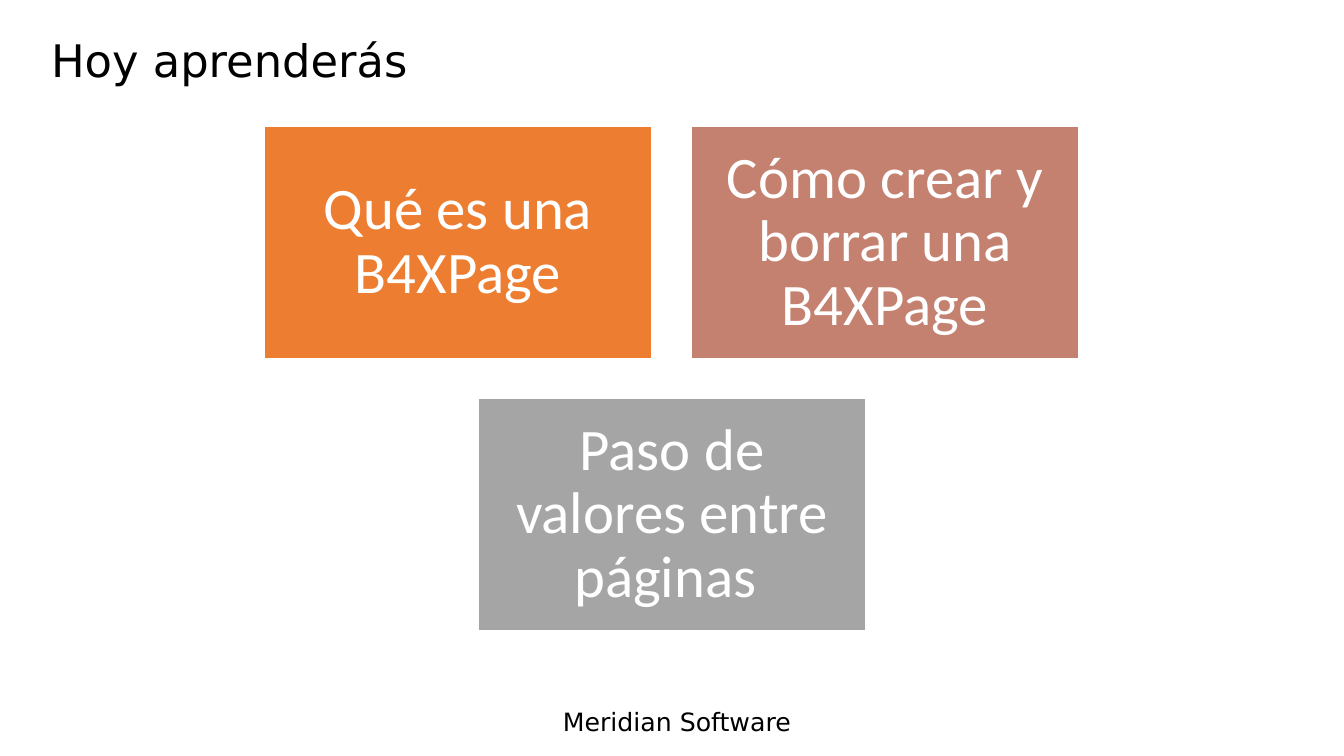
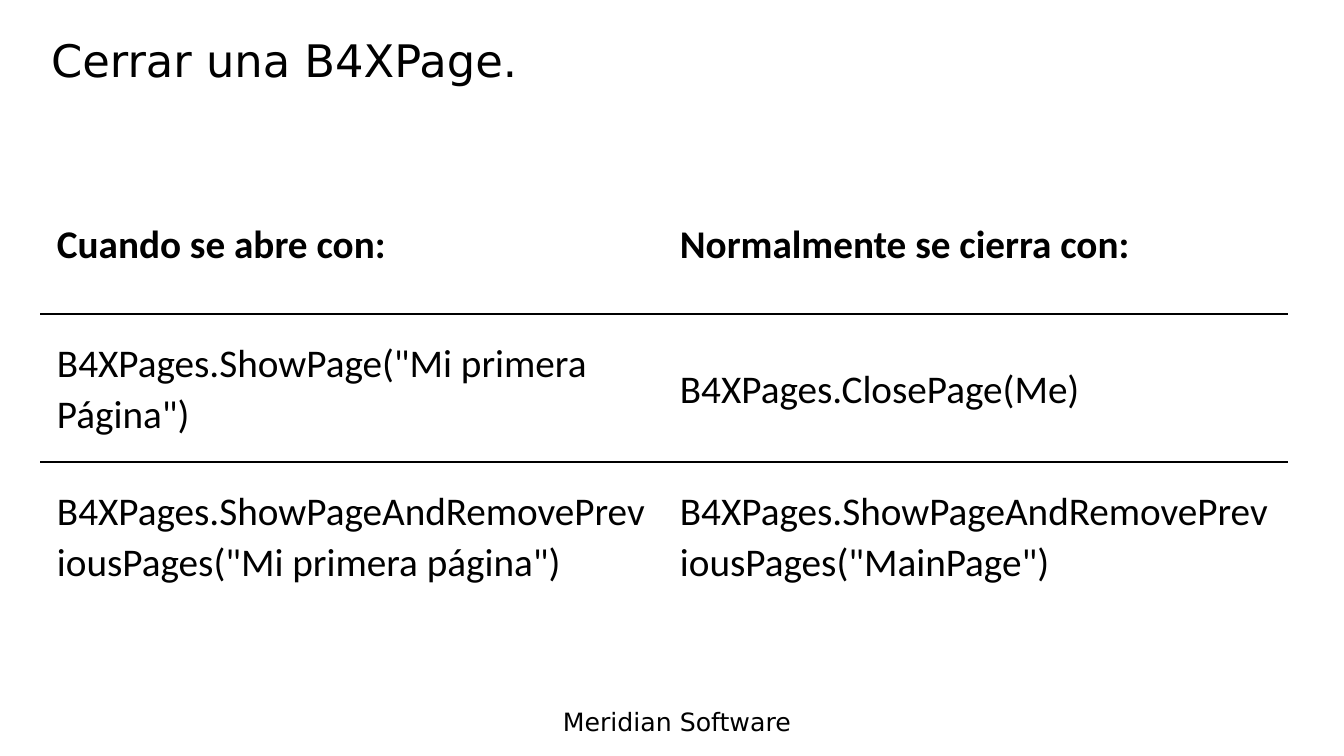
from lxml import etree
from pptx import Presentation
from pptx import util as u
from pptx.dml.color import RGBColor
from pptx.enum import shapes, text
from pptx.oxml.ns import qn

# Geometry in px
WIDTH, HEIGHT = 1344, 756
SCALE = 12192000 / WIDTH
BOX_W, BOX_H, GAP = 388, 233, 39

# Shared look
BLACK = RGBColor(0x00, 0x00, 0x00)
WHITE = RGBColor(0xFF, 0xFF, 0xFF)
ORANGE = RGBColor(0xED, 0x7D, 0x31)
ROSE = RGBColor(0xC4, 0x81, 0x70)
GREY = RGBColor(0xA5, 0xA5, 0xA5)
HEAD_FONT, BODY_FONT = "DejaVu Sans", "Calibri"
FOOTER = "Meridian Software"


def px(n):
    return u.Emu(round(n * SCALE))


def rect(*lengths):
    return [px(n) for n in lengths]


def write(tf, content, font, size, color, align=text.PP_ALIGN.LEFT,
          spacing=1.0, bold=False):
    tf.text = content
    p = tf.paragraphs[0]
    p.alignment, p.line_spacing = align, spacing
    p.font.name, p.font.size = font, u.Pt(size)
    p.font.bold, p.font.color.rgb = bold, color
    return p


def add_slide(prs, title):
    """Title-only slide with the shared title style and footer."""
    s = prs.slides.add_slide(prs.slide_layouts[5])
    sp = s.shapes.title
    sp.left, sp.top, sp.width, sp.height = rect(41, 15, 1211, 96)
    tf = sp.text_frame
    tf.auto_size = text.MSO_AUTO_SIZE.NONE
    tf.vertical_anchor = text.MSO_ANCHOR.MIDDLE
    write(tf, title, HEAD_FONT, 32, BLACK, spacing=0.9)

    footer = s.shapes.add_textbox(*rect(553, 701, 292, 40))
    footer.text_frame.word_wrap = True
    write(footer.text_frame, FOOTER, HEAD_FONT, 18, BLACK)
    return s


def add_box(s, left, top, label, color):
    sp = s.shapes.add_shape(shapes.MSO_SHAPE.RECTANGLE,
                            *rect(left, top, BOX_W, BOX_H))
    sp.shadow.inherit = False
    sp.fill.solid()
    sp.fill.fore_color.rgb = color
    sp.line.color.rgb, sp.line.width = WHITE, u.Pt(1)
    tf = sp.text_frame
    tf.word_wrap = True
    tf.vertical_anchor = text.MSO_ANCHOR.MIDDLE
    tf.margin_left = tf.margin_right = tf.margin_top = tf.margin_bottom = px(17)
    write(tf, label, BODY_FONT, 42, WHITE, text.PP_ALIGN.CENTER, 0.9)


def add_box_rows(s, top, rows):
    """Rows of equal boxes, each row centred on the slide."""
    for i, row in enumerate(rows):
        row_w = len(row) * (BOX_W + GAP) - GAP
        left = (WIDTH - row_w) // 2
        for j, (label, color) in enumerate(row):
            add_box(s, left + j * (BOX_W + GAP), top + i * (BOX_H + GAP),
                    label, color)


def set_borders(cell, top, bottom):
    tc_pr = cell._tc.get_or_add_tcPr()
    sides = (("L", WHITE), ("R", WHITE), ("T", top), ("B", bottom))
    for i, (side, color) in enumerate(sides):
        ln = etree.Element(qn(f"a:ln{side}"), w=str(u.Pt(1)))
        fill = etree.SubElement(ln, qn("a:solidFill"))
        etree.SubElement(fill, qn("a:srgbClr"), val=str(color))
        tc_pr.insert(i, ln)


def add_ruled_table(s, left, top, col_w, row_heights, rows):
    """Unfilled table with a bold header and rules between its rows."""
    n_cols = len(rows[0])
    frame = s.shapes.add_table(
        len(rows), n_cols,
        *rect(left, top, col_w * n_cols, sum(row_heights)))
    table = frame.table
    table.horz_banding = table.first_row = False
    for col in table.columns:
        col.width = px(col_w)
    for i, (height, row) in enumerate(zip(row_heights, rows)):
        table.rows[i].height = px(height)
        for j, content in enumerate(row):
            cell = table.cell(i, j)
            cell.fill.background()
            cell.vertical_anchor = text.MSO_ANCHOR.MIDDLE
            cell.margin_left = cell.margin_right = px(16)
            cell.margin_top = cell.margin_bottom = 0
            p = write(cell.text_frame, content, BODY_FONT, 28, BLACK,
                      spacing=1.07, bold=i == 0)
            p.space_after = u.Pt(8)
            set_borders(cell, BLACK if i else WHITE,
                        BLACK if i < len(rows) - 1 else WHITE)


def main():
    prs = Presentation()
    prs.slide_width, prs.slide_height = rect(WIDTH, HEIGHT)

    # Agenda
    s = add_slide(prs, "Hoy aprenderás")
    add_box_rows(s, 126, [
        [("Qué es una B4XPage", ORANGE),
         ("Cómo crear y borrar una B4XPage", ROSE)],
        [("Paso de valores entre páginas ", GREY)],
    ])

    # Opening and closing calls
    s = add_slide(prs, "Cerrar una B4XPage.")
    add_ruled_table(s, 41, 172, 623, [142, 148, 148], [
        ["Cuando se abre con:", "Normalmente se cierra con:"],
        ['B4XPages.ShowPage("Mi primera Página")', "B4XPages.ClosePage(Me)"],
        ['B4XPages.ShowPageAndRemovePreviousPages("Mi primera página")',
         'B4XPages.ShowPageAndRemovePreviousPages("MainPage")'],
    ])

    prs.save("out.pptx")


if __name__ == "__main__":
    main()
